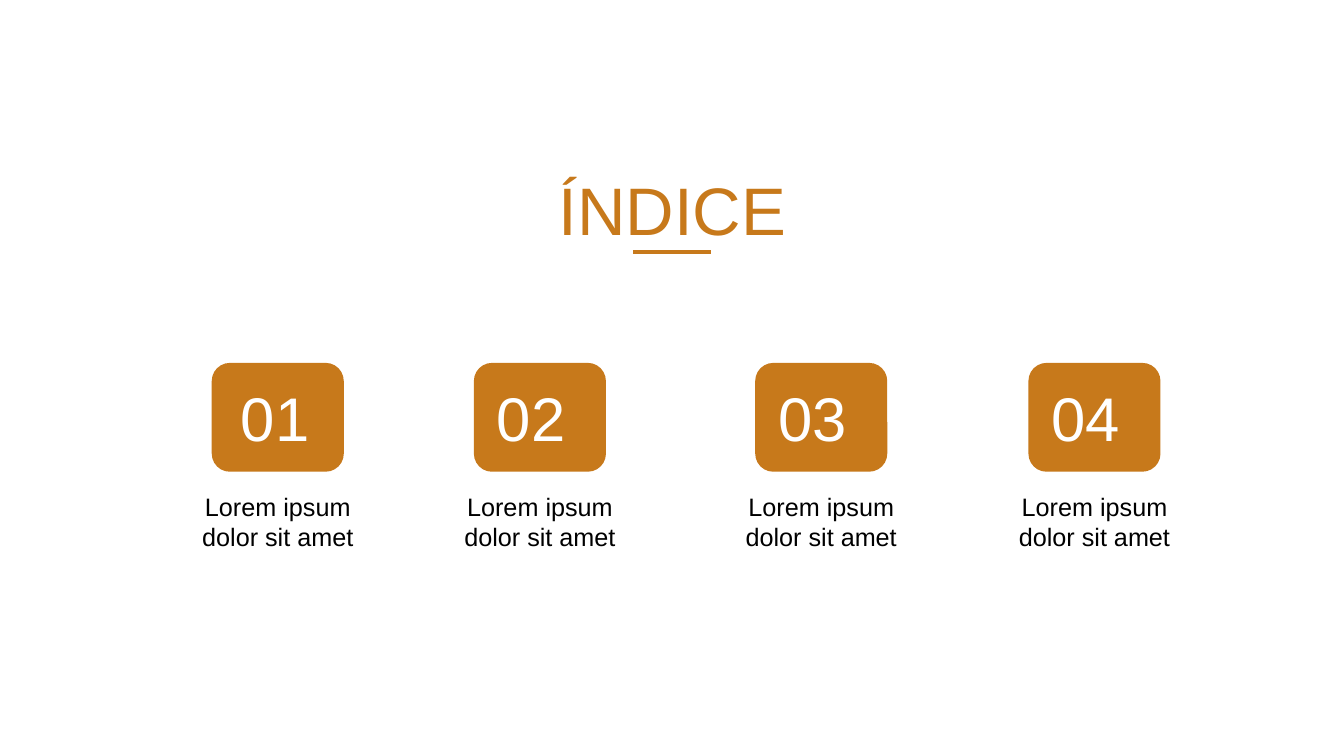
from dataclasses import dataclass

from lxml import etree
from pptx import Presentation
from pptx.dml.color import RGBColor
from pptx.enum.shapes import MSO_CONNECTOR, MSO_SHAPE
from pptx.enum.text import MSO_ANCHOR, MSO_AUTO_SIZE, PP_ALIGN
from pptx.oxml.ns import qn
from pptx.util import Inches, Pt

STRAIGHT = MSO_CONNECTOR.STRAIGHT
ROUNDED = MSO_SHAPE.ROUNDED_RECTANGLE
TOP, MIDDLE = MSO_ANCHOR.TOP, MSO_ANCHOR.MIDDLE
LEFT, CENTER = PP_ALIGN.LEFT, PP_ALIGN.CENTER
FIT_SHAPE, NO_FIT = MSO_AUTO_SIZE.SHAPE_TO_FIT_TEXT, MSO_AUTO_SIZE.NONE


@dataclass(frozen=True)
class Theme:
    font: str = "Arial"
    accent: RGBColor = RGBColor(0xC7, 0x79, 0x1B)
    text: RGBColor = RGBColor(0, 0, 0)
    on_accent: RGBColor = RGBColor(0xFF, 0xFF, 0xFF)
    title_size: int = 48
    number_size: int = 44
    caption_size: int = 18
    rule_width: int = 3


THEME = Theme()
TILE_TOP, TILE_WIDTH, TILE_HEIGHT = 3.6, 1.31, 1.08
CAPTION = ("Lorem ipsum", "dolor sit amet")
# Number, left edge of its tile, and indent of the number inside the tile
ENTRIES = (
    ("01", 2.1, 0.19),
    ("02", 4.7, 0.13),
    ("03", 7.49, 0.13),
    ("04", 10.2, 0.13),
)


def add_text(slide, box, lines, size, color, align=CENTER, anchor=TOP,
             fit=FIT_SHAPE, line_spacing=None):
    """Place one paragraph per line in box (left, top, width, height in inches)."""
    frame = slide.shapes.add_textbox(*map(Inches, box)).text_frame
    frame.word_wrap = True
    frame.auto_size = fit
    frame.vertical_anchor = anchor
    for index, line in enumerate(lines):
        paragraph = frame.add_paragraph() if index else frame.paragraphs[0]
        paragraph.alignment = align
        paragraph.line_spacing = line_spacing
        run = paragraph.add_run()
        run.text = line
        run.font.name = THEME.font
        run.font.size = Pt(size)
        run.font.color.rgb = color


def add_heading(slide, left, top, width, height):
    add_text(slide, (left, top, width, height), ["ÍNDICE"], THEME.title_size,
             THEME.accent, anchor=MIDDLE, fit=NO_FIT, line_spacing=0.9)
    rule_left, rule_top, rule_length = left + 5.36, top + 1.1, 0.77
    rule = slide.shapes.add_connector(
        STRAIGHT, Inches(rule_left), Inches(rule_top),
        Inches(rule_left + rule_length), Inches(rule_top))
    rule.line.color.rgb = THEME.accent
    rule.line.width = Pt(THEME.rule_width)
    etree.SubElement(rule._element.spPr, qn("a:effectLst"))


def add_entry(slide, left, top, width, height, number, number_indent):
    """Place a numbered tile with its caption below."""
    tile = slide.shapes.add_shape(
        ROUNDED, Inches(left), Inches(top), Inches(width), Inches(height))
    tile.shadow.inherit = False
    tile.fill.solid()
    tile.fill.fore_color.rgb = THEME.accent
    tile.line.fill.background()
    add_text(slide, (left + number_indent, top + 0.12, 1.18, 0.84), [number],
             THEME.number_size, THEME.on_accent, align=LEFT)
    caption_width = 1.88
    caption_left = left + (width - caption_width) / 2
    add_text(slide, (caption_left, top + height + 0.14, caption_width, 0.71),
             CAPTION, THEME.caption_size, THEME.text)


def main():
    presentation = Presentation()
    presentation.slide_width = Inches(13.33)
    presentation.slide_height = Inches(7.5)
    slide = presentation.slides.add_slide(presentation.slide_layouts[6])
    add_heading(slide, 0.92, 1.4, 11.5, 1.45)
    for number, left, number_indent in ENTRIES:
        add_entry(slide, left, TILE_TOP, TILE_WIDTH, TILE_HEIGHT,
                  number, number_indent)
    presentation.save("out.pptx")


if __name__ == "__main__":
    main()
